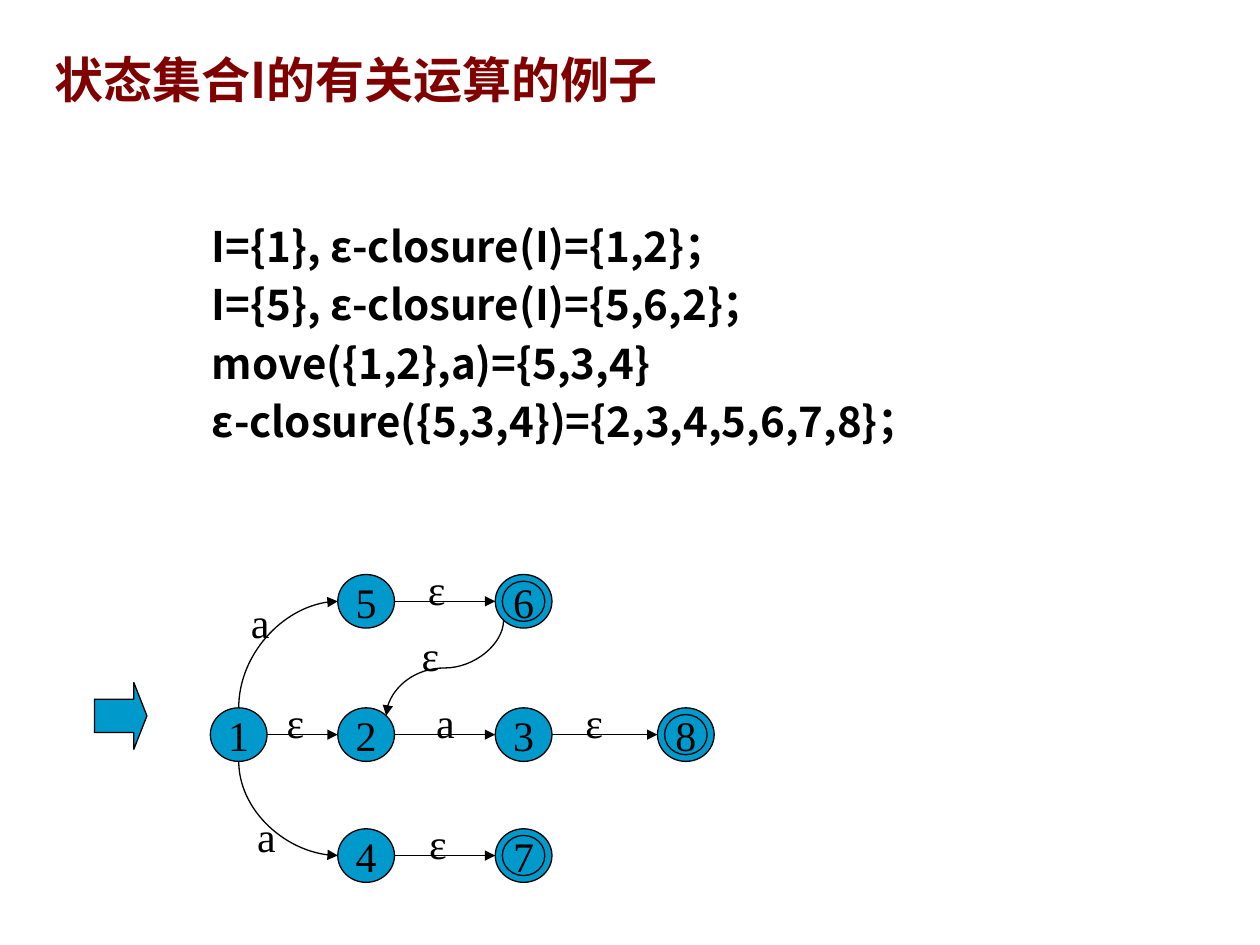
from dataclasses import dataclass
from math import sqrt

from lxml.etree import SubElement
from pptx import Presentation
from pptx.dml.color import RGBColor
from pptx.enum.shapes import MSO_CONNECTOR, MSO_SHAPE
from pptx.enum.text import MSO_ANCHOR, PP_ALIGN
from pptx.oxml.ns import qn
from pptx.util import Pt


@dataclass(frozen=True)
class Theme:
    title_color: RGBColor = RGBColor(0x80, 0x00, 0x00)
    ink: RGBColor = RGBColor(0x00, 0x00, 0x00)
    node_fill: RGBColor = RGBColor(0x00, 0x99, 0xCC)
    text_font: str = "Noto Sans CJK SC"
    diagram_font: str = "Times New Roman"
    title_size: float = 28
    text_size: float = 24
    line_width: float = 0.75


@dataclass(frozen=True)
class Box:
    left: float
    top: float
    width: float
    height: float

    def in_points(self):
        return Pt(self.left), Pt(self.top), Pt(self.width), Pt(self.height)


THEME = Theme()
NODE_WIDTH, NODE_HEIGHT = 32.4, 30.6
INNER_SCALE = 0.75

# Centres and label places are measured from the corner of the diagram.
COLUMNS = (16.2, 89, 179, 271.7)
ROWS = (15.3, 91.5, 160.6)
STATES = {  # name: (column, row)
    "1": (0, 1), "2": (1, 1), "5": (1, 0), "3": (2, 1),
    "4": (1, 2), "6": (2, 0), "8": (3, 1), "7": (2, 2),
}
FINAL_STATES = {"6", "7", "8"}
TRANSITIONS = (  # source, target, symbol, centre of symbol
    ("4", "7", "ε", (130, 153.4)),
    ("2", "3", "a", (134.3, 84.3)),
    ("6", "2", "ε", (125.7, 46.1)),
    ("5", "6", "ε", (129.3, 7.9)),
    ("1", "2", "ε", (48.6, 84.3)),
    ("1", "5", "a", (28.5, 26.7)),
    ("1", "4", "a", (32.1, 149.1)),
    ("3", "8", "ε", (219.3, 84.3)),
)
OPERATIONS = (
    "I={1}, ε-closure(I)={1,2}；",
    "I={5}, ε-closure(I)={5,6,2}；",
    "move({1,2},a)={5,3,4}",
    "ε-closure({5,3,4})={2,3,4,5,6,7,8}；",
)


def format_para(para, font_name, size, color, bold=False):
    for span in para.runs:
        font = span.font
        font.name, font.size, font.bold = font_name, Pt(size), bold
        font.color.rgb = color
        SubElement(span._r.get_or_add_rPr(), qn("a:ea"), typeface=font_name)


def add_title(page, box):
    title = page.shapes.title
    title.left, title.top, title.width, title.height = box.in_points()
    frame = title.text_frame
    frame.text = "状态集合I的有关运算的例子"
    frame.vertical_anchor = MSO_ANCHOR.MIDDLE
    para = frame.paragraphs[0]
    para.alignment = PP_ALIGN.LEFT
    format_para(para, THEME.text_font, THEME.title_size, THEME.title_color, True)


def add_operations(page, box):
    frame = page.shapes.add_textbox(*box.in_points()).text_frame
    frame.word_wrap = True
    frame.margin_top = Pt(6.7)
    frame.text = "\n".join(OPERATIONS)
    for index, para in enumerate(frame.paragraphs):
        properties = para._p.get_or_add_pPr()
        properties.set("marL", str(Pt(58.5)))
        properties.set("indent", str(Pt(-22.5)))
        para.line_spacing = Pt(28)
        para.space_before = Pt(5.4 if index else 0)
        format_para(para, THEME.text_font, THEME.text_size, THEME.ink, True)


def add_filled_shape(shapes, kind, box):
    shape = shapes.add_shape(kind, *box.in_points())
    shape.shadow.inherit = False
    shape.fill.solid()
    shape.fill.fore_color.rgb = THEME.node_fill
    shape.line.color.rgb = THEME.ink
    shape.line.width = Pt(THEME.line_width)
    return shape


def write_symbol(shape, text):
    frame = shape.text_frame
    frame.text = text
    frame.word_wrap = False
    frame.vertical_anchor = MSO_ANCHOR.MIDDLE
    frame.margin_left = frame.margin_right = 0
    frame.margin_top = frame.margin_bottom = 0
    para = frame.paragraphs[0]
    para.alignment = PP_ALIGN.CENTER
    format_para(para, THEME.diagram_font, THEME.text_size, THEME.ink)


def centred_box(center, width, height):
    return Box(center[0] - width / 2, center[1] - height / 2, width, height)


def add_state(shapes, name, center):
    """Draw a state as a circle, doubled when the state is final."""
    scales = (1, INNER_SCALE) if name in FINAL_STATES else (1,)
    for scale in scales:
        circle = add_filled_shape(
            shapes, MSO_SHAPE.OVAL,
            centred_box(center, NODE_WIDTH * scale, NODE_HEIGHT * scale))
    write_symbol(circle, name)


def add_arrow(shapes, kind, start, end):
    arrow = shapes.add_connector(kind, *(Pt(value) for value in (*start, *end)))
    arrow.line.color.rgb = THEME.ink
    arrow.line.width = Pt(THEME.line_width)
    SubElement(arrow.line._get_or_add_ln(), qn("a:tailEnd"), type="triangle")
    SubElement(arrow._element.spPr, qn("a:effectLst"))
    return arrow


def add_curve(shapes, start, end, preset, degrees):
    """Draw a curve that leaves start vertically, as a quarter-turned connector."""
    (x1, y1), (x2, y2) = start, end
    middle_x, middle_y = (x1 + x2) / 2, (y1 + y2) / 2
    turn = 1 if degrees == 90 else -1
    half_x, half_y = turn * (y2 - y1) / 2, -turn * (x2 - x1) / 2
    curve = add_arrow(shapes, MSO_CONNECTOR.CURVE,
                      (middle_x - half_x, middle_y - half_y),
                      (middle_x + half_x, middle_y + half_y))
    properties = curve._element.spPr
    properties.find(qn("a:xfrm")).set("rot", str(degrees * 60000))
    properties.find(qn("a:prstGeom")).set("prst", preset)


def add_transition(shapes, start, end):
    """Join two state centres, from rim to rim."""
    (x1, y1), (x2, y2) = start, end
    radius_x, radius_y = NODE_WIDTH / 2, NODE_HEIGHT / 2
    if y1 == y2:
        add_arrow(shapes, MSO_CONNECTOR.STRAIGHT, (x1 + radius_x, y1), (x2 - radius_x, y2))
    elif x2 > x1:
        side = 1 if y2 > y1 else -1
        add_curve(shapes, (x1, y1 + side * radius_y), (x2 - radius_x, y2),
                  "curvedConnector2", 270)
    else:
        shift_x, shift_y = radius_x / sqrt(2), radius_y / sqrt(2)
        add_curve(shapes, (x1 - shift_x, y1 + shift_y), (x2 + shift_x, y2 - shift_y),
                  "curvedConnector3", 90)


def add_automaton(page, box):
    shapes = page.shapes.add_group_shape().shapes
    centers = {name: (box.left + COLUMNS[column], box.top + ROWS[row])
               for name, (column, row) in STATES.items()}
    for name, center in centers.items():
        add_state(shapes, name, center)
    for source, target, _, _ in TRANSITIONS:
        add_transition(shapes, centers[source], centers[target])
    for _, _, symbol, (x, y) in TRANSITIONS:
        label_box = centred_box((box.left + x, box.top + y), 25.2, 36)
        write_symbol(shapes.add_textbox(*label_box.in_points()), symbol)


def add_start_arrow(page, box):
    arrow = add_filled_shape(page.shapes, MSO_SHAPE.RIGHT_ARROW, box)
    arrow.adjustments[0], arrow.adjustments[1] = 0.5, 0.25


def main():
    deck = Presentation()
    deck.slide_width, deck.slide_height = Pt(720), Pt(540)
    page = deck.slides.add_slide(deck.slide_layouts[5])
    add_title(page, Box(24, 12, 678, 66))
    add_operations(page, Box(78, 120, 612, 396))
    add_automaton(page, Box(120.2, 328.3, 288, 176))
    add_start_arrow(page, Box(54, 390, 30, 38.2))
    deck.save("out.pptx")


if __name__ == "__main__":
    main()
